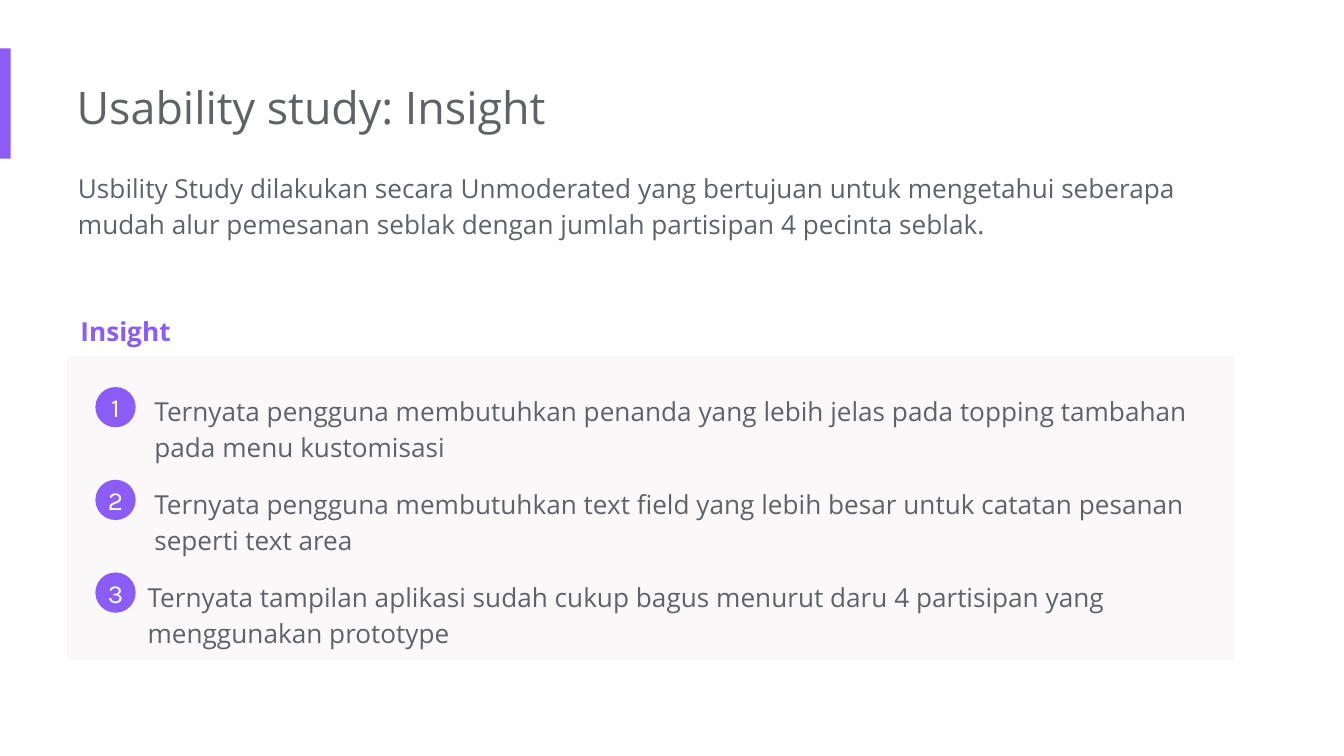
from pptx import Presentation
from pptx.dml.color import RGBColor
from pptx.enum.shapes import MSO_SHAPE as Shape
from pptx.enum.text import MSO_ANCHOR as Anchor, MSO_AUTO_SIZE as AutoSize, PP_ALIGN as Align
from pptx.util import Inches, Pt

PURPLE = RGBColor(0x8B, 0x5C, 0xF6)
GRAY = RGBColor(0x5F, 0x63, 0x68)
PANEL = RGBColor(0xFA, 0xF8, 0xF9)
WHITE = RGBColor(0xFF, 0xFF, 0xFF)

MARGIN = 0.5
FIRST_ROW = 2.81
ROW_STEP = 0.69
TEXT_HEIGHT = 0.74
BADGE_SIZE = 0.3
BADGE_DROP = 0.07

INSIGHTS = [
    # text, left, width
    ("Ternyata pengguna membutuhkan penanda yang lebih jelas pada topping "
     "tambahan pada menu kustomisasi", 1.05, 7.91),
    ("Ternyata pengguna membutuhkan text field yang lebih besar untuk "
     "catatan pesanan seperti text area", 1.05, 8.04),
    ("Ternyata tampilan aplikasi sudah cukup bagus menurut daru 4 partisipan "
     "yang menggunakan prototype", 1, 7.96),
]

deck = Presentation()
deck.slide_width = Inches(10)
deck.slide_height = deck.slide_width * 9 // 16
page = deck.slides.add_slide(deck.slide_layouts[5])


def add_block(kind, left, top, width, height, color):
    block = page.shapes.add_shape(kind, *map(Inches, (left, top, width, height)))
    block.shadow.inherit = False
    block.fill.solid()
    block.fill.fore_color.rgb = color
    block.line.fill.background()
    return block


def write(box, text, color=GRAY, size=14, font="Open Sans", bold=False,
          inset=0.1, left_inset=0.1, spacing=1.15, align=Align.LEFT, anchor=Anchor.TOP):
    frame = box.text_frame
    frame.text = text
    frame.word_wrap = True
    frame.auto_size = AutoSize.NONE
    frame.vertical_anchor = anchor
    frame.margin_left = Inches(left_inset)
    frame.margin_top = frame.margin_right = frame.margin_bottom = Inches(inset)
    para = frame.paragraphs[0]
    para.alignment = align
    para.line_spacing = spacing
    span = para.runs[0]
    span.font.name, span.font.size, span.font.bold = font, Pt(size), bold
    span.font.color.rgb = color


add_block(Shape.RECTANGLE, 0, 0.36, 0.08, 0.82, PURPLE)

title = page.shapes.title
title.left, title.top, title.width, title.height = map(Inches, (0.57, 0.49, 6.73, 0.61))
write(title, "Usability study: Insight", size=24, left_inset=0, spacing=1)

intro = page.shapes.add_textbox(*map(Inches, (0.58, 1.15, 8.61, TEXT_HEIGHT)))
write(intro, "Usbility Study dilakukan secara Unmoderated yang bertujuan untuk mengetahui "
      "seberapa mudah alur pemesanan seblak dengan jumlah partisipan 4 pecinta seblak.",
      left_inset=0)

heading = page.shapes.add_textbox(*map(Inches, (MARGIN, 2.21, 3.65, 0.44)))
write(heading, "Insight", PURPLE, bold=True)

add_block(Shape.RECTANGLE, MARGIN, 2.65, 8.69, 2.26, PANEL)

for index, (text, left, width) in enumerate(INSIGHTS):
    top = FIRST_ROW + index * ROW_STEP
    insight = page.shapes.add_textbox(*map(Inches, (left, top, width, TEXT_HEIGHT)))
    write(insight, text)
    badge = add_block(Shape.OVAL, 0.71, top + BADGE_DROP, BADGE_SIZE, BADGE_SIZE, PURPLE)
    write(badge, str(index + 1), WHITE, font="Karla", inset=0, left_inset=0,
          spacing=1, align=Align.CENTER, anchor=Anchor.MIDDLE)

deck.save("out.pptx")
